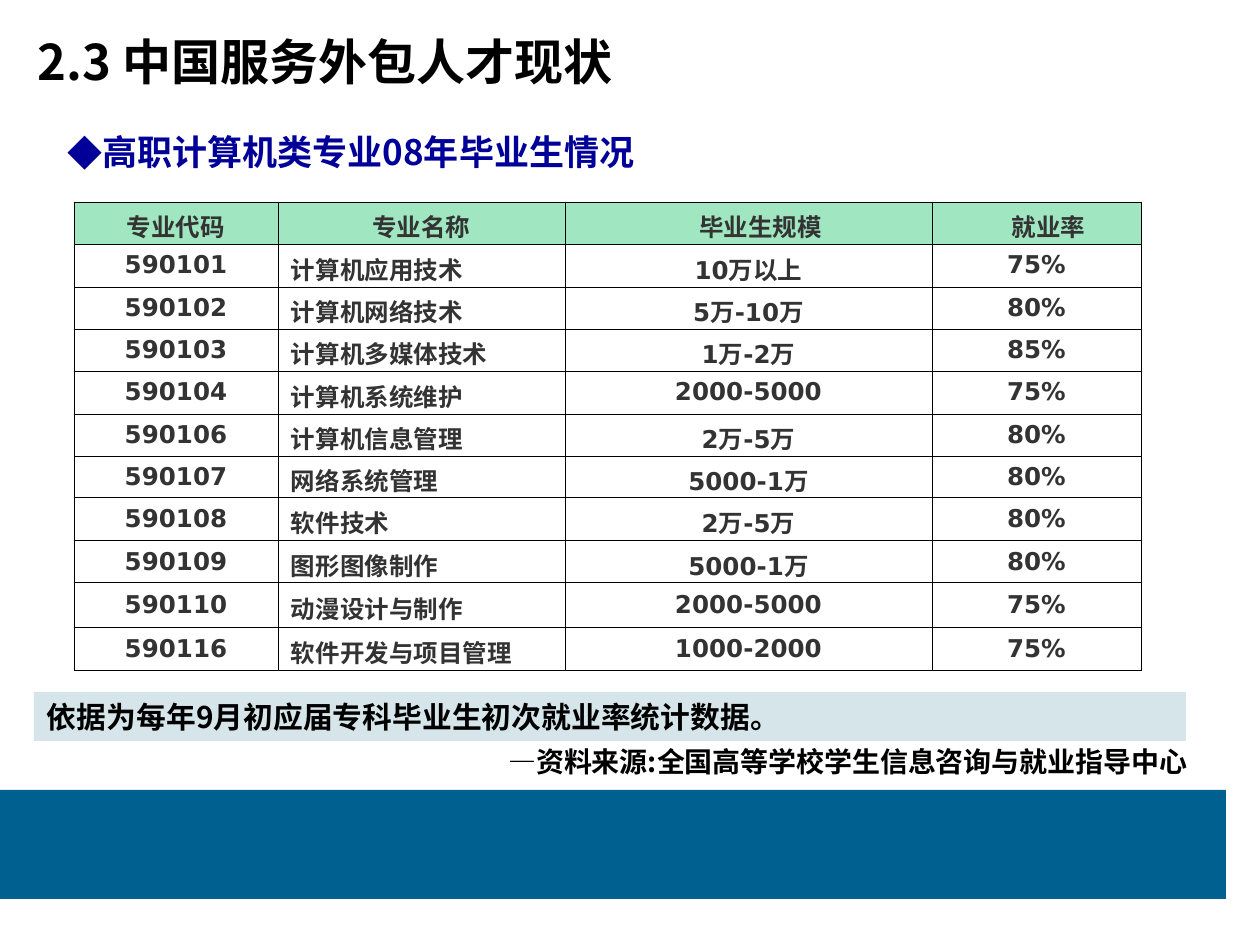
from lxml.etree import SubElement
from pptx import Presentation
from pptx.dml.color import RGBColor
from pptx.enum.shapes import MSO_SHAPE
from pptx.enum.text import MSO_ANCHOR, PP_ALIGN
from pptx.oxml.ns import qn
from pptx.util import Emu, Pt

SCALE = 914400 // 126
COLORS = {
    "black": "000000", "navy": "000099", "gray": "333333",
    "green": "A0E6C1", "pale": "AFCDD7", "blue": "006191",
}
CJK = "Noto Sans CJK SC"
LATIN = "DejaVu Sans"

HEADS = ["专业代码", "专业名称", "　毕业生规模", "　就业率"]
MAJORS = [
    ("590101", "计算机应用技术", "10万以上", "75%"),
    ("590102", "计算机网络技术", "5万-10万", "80%"),
    ("590103", "计算机多媒体技术", "1万-2万", "85%"),
    ("590104", "计算机系统维护", "2000-5000", "75%"),
    ("590106", "计算机信息管理", "2万-5万", "80%"),
    ("590107", "网络系统管理", "5000-1万", "80%"),
    ("590108", "软件技术", "2万-5万", "80%"),
    ("590109", "图形图像制作", "5000-1万", "80%"),
    ("590110", "动漫设计与制作", "2000-5000", "75%"),
    ("590116", "软件开发与项目管理", "1000-2000", "75%"),
]
WIDTHS = [204, 287, 367, 209]
HEIGHTS = [42, 43, 42, 42, 43, 42, 42, 43, 42, 45, 43]


def px(n):
    return Emu(n * SCALE)


def paint(fill, name):
    fill.solid()
    fill.fore_color.rgb = RGBColor.from_string(COLORS[name])


def style(para, size, color, align=PP_ALIGN.LEFT, face=CJK):
    """Set bold type for both Latin and Chinese letters."""
    para.alignment = align
    font = para.font
    font.size = Pt(size)
    font.bold = True
    font.color.rgb = RGBColor.from_string(COLORS[color])
    font.name = face
    props = para._p.pPr.find(qn("a:defRPr"))
    SubElement(props, qn("a:ea"), typeface=CJK)


def write(shape, text, wrap=True):
    """Put one line, centred in height, into a shape."""
    frame = shape.text_frame
    frame.word_wrap = wrap
    frame.vertical_anchor = MSO_ANCHOR.MIDDLE
    frame.margin_left = frame.margin_right = px(13)
    frame.margin_top = frame.margin_bottom = 0
    frame.text = text
    return frame.paragraphs[0]


def add_rect(slide, box, color):
    rect = slide.shapes.add_shape(MSO_SHAPE.RECTANGLE, *map(px, box))
    rect.shadow.inherit = False
    rect.line.fill.background()
    paint(rect.fill, color)
    return rect


def add_title(slide, box):
    title = slide.shapes.title
    title.left, title.top, title.width, title.height = map(px, box)
    style(write(title, "2.3 中国服务外包人才现状"), 28, "black")


def add_topic(slide, box):
    topic = slide.shapes.add_textbox(*map(px, box))
    para = write(topic, "高职计算机类专业08年毕业生情况")
    props = para._p.get_or_add_pPr()
    props.set("marL", str(px(35)))
    props.set("indent", str(-px(35)))
    tint = SubElement(props, qn("a:buClr"))
    SubElement(tint, qn("a:srgbClr"), val=COLORS["navy"])
    SubElement(props, qn("a:buFont"), typeface=CJK)
    SubElement(props, qn("a:buChar"), char="◆")
    style(para, 20, "navy")


def add_border(cell):
    props = cell._tc.get_or_add_tcPr()
    for side in "LRTB":
        line = SubElement(props, qn(f"a:ln{side}"), w=str(Pt(0.34)))
        fill = SubElement(line, qn("a:solidFill"))
        SubElement(fill, qn("a:srgbClr"), val=COLORS["black"])


def fill_cell(cell, text, head, align):
    cell.text = text
    cell.vertical_anchor = MSO_ANCHOR.MIDDLE
    cell.margin_left = cell.margin_right = px(13)
    cell.margin_top = px(6)
    # Chinese lines are taller and need the room below
    cell.margin_bottom = px(6) if text.isascii() else 0
    add_border(cell)
    if head:
        paint(cell.fill, "green")
    else:
        cell.fill.background()
    face = CJK if head else LATIN
    style(cell.text_frame.paragraphs[0], 14, "gray", align, face)


def add_majors(slide, left, top):
    rows = [HEADS, *MAJORS]
    box = left, top, sum(WIDTHS), sum(HEIGHTS)
    table = slide.shapes.add_table(
        len(rows), len(HEADS), *map(px, box)).table
    table.horz_banding = False
    for col, width in zip(table.columns, WIDTHS):
        col.width = px(width)
    for row, height in zip(table.rows, HEIGHTS):
        row.height = px(height)
    for r, row in enumerate(rows):
        for c, text in enumerate(row):
            left_set = r > 0 and c == 1
            align = PP_ALIGN.LEFT if left_set else PP_ALIGN.CENTER
            fill_cell(table.cell(r, c), text, r == 0, align)


def add_note(slide, box):
    note = add_rect(slide, box, "pale")
    color = note.fill._xPr.find(f".//{qn('a:srgbClr')}")
    SubElement(color, qn("a:alpha"), val="50000")
    para = write(note, "依据为每年9月初应届专科毕业生初次就业率统计数据。")
    style(para, 17, "black")


def add_source(slide, box):
    source = slide.shapes.add_textbox(*map(px, box))
    para = write(
        source, "—资料来源:全国高等学校学生信息咨询与就业指导中心", False)
    style(para, 16, "black", PP_ALIGN.CENTER)


def main():
    deck = Presentation()
    deck.slide_width, deck.slide_height = px(1260), px(945)
    slide = deck.slides.add_slide(deck.slide_layouts[5])
    add_rect(slide, (0, 790, 1226, 109), "blue")
    add_title(slide, (25, 25, 1171, 72))
    add_topic(slide, (54, 124, 993, 55))
    add_majors(slide, 74, 202)
    add_note(slide, (34, 692, 1152, 49))
    add_source(slide, (485, 734, 726, 55))
    deck.save("out.pptx")


if __name__ == "__main__":
    main()
